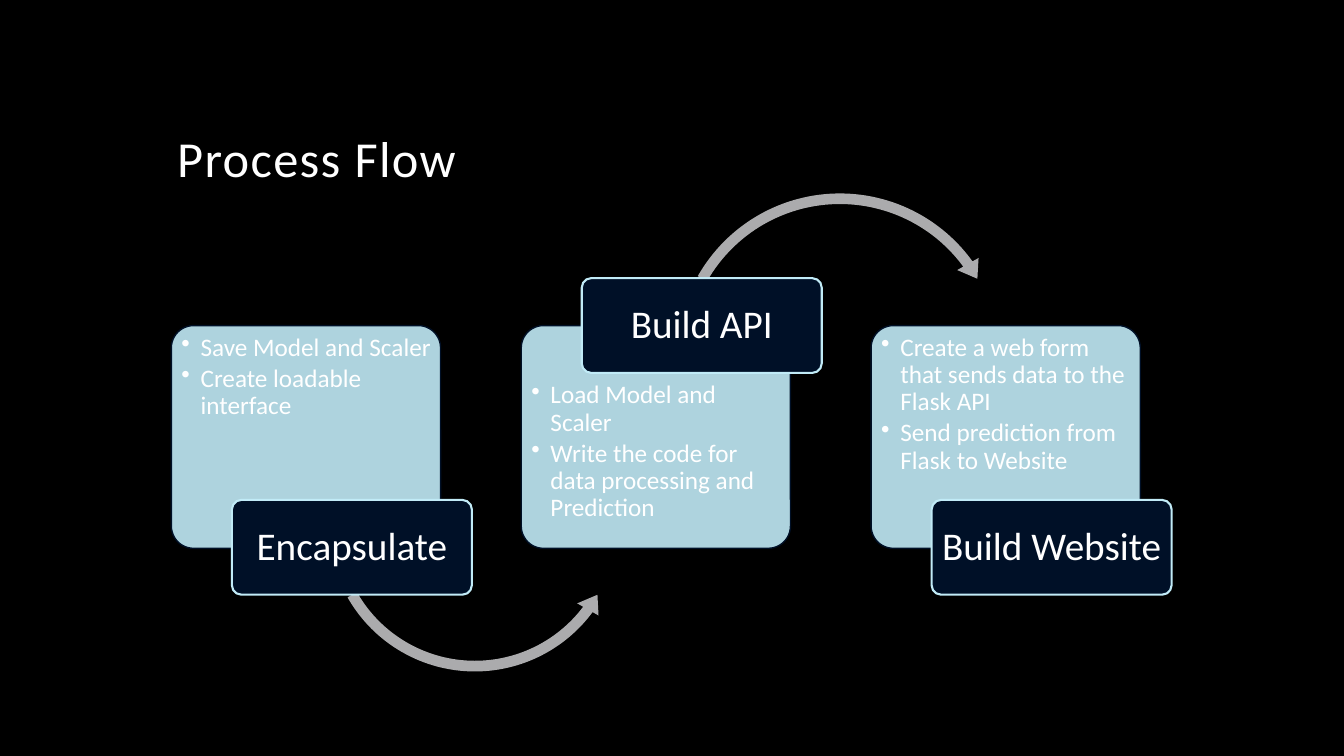
from dataclasses import dataclass
from typing import Optional

from lxml import etree
from pptx import Presentation
from pptx.dml.color import RGBColor
from pptx.enum.shapes import MSO_SHAPE
from pptx.enum.text import MSO_ANCHOR, PP_ALIGN
from pptx.oxml.ns import qn
from pptx.shapes.autoshape import Shape
from pptx.slide import Slide
from pptx.util import Inches, Pt

ROUNDED = MSO_SHAPE.ROUNDED_RECTANGLE
ARC_OVER = MSO_SHAPE.CIRCULAR_ARROW
ARC_UNDER = MSO_SHAPE.LEFT_CIRCULAR_ARROW
TOP, MIDDLE, BOTTOM = MSO_ANCHOR.TOP, MSO_ANCHOR.MIDDLE, MSO_ANCHOR.BOTTOM
LEFT, CENTER = PP_ALIGN.LEFT, PP_ALIGN.CENTER


@dataclass(frozen=True)
class Theme:
    font: str = "Calibri"
    background: str = "000000"
    text: str = "FFFFFF"
    panel: str = "C1EBF7"
    label: str = "001027"
    arrow: str = "ABABAD"
    title_size: int = 36
    label_size: int = 28
    bullet_size: int = 18


@dataclass(frozen=True)
class Box:
    left: float
    top: float
    width: float
    height: float

    def inches(self) -> tuple:
        return tuple(map(Inches, (self.left, self.top, self.width, self.height)))


@dataclass(frozen=True)
class Arrow:
    preset: MSO_SHAPE
    offset: float
    top: float
    size: float
    adjustments: tuple[float, ...]


@dataclass(frozen=True)
class Step:
    name: str
    bullets: tuple[str, ...]
    label_on_top: bool = False
    arrow: Optional[Arrow] = None


THEME = Theme()
FIRST_LEFT = 1.7
STEP_PITCH = 3.47
PANEL_TOP = 3.23
STEPS = (
    Step("Encapsulate", ("Save Model and Scaler", "Create loadable interface"),
         arrow=Arrow(ARC_UNDER, 1.49, 3.69, 3.04, (0.035, 4.277, 22.032, 90.245, 0.04))),
    Step("Build API",
         ("Load Model and Scaler", "Write the code for data processing and Prediction"),
         label_on_top=True,
         arrow=Arrow(ARC_OVER, 1.47, 1.85, 3.38, (0.031, 3.813, 194.431, 125.755, 0.036))),
    Step("Build Website",
         ("Create a web form that sends data to the Flask API",
          "Send prediction from Flask to Website")),
)


def add_filled_shape(slide: Slide, preset: MSO_SHAPE, box: Box, fill: str,
                     adjustments: tuple[float, ...], line: Optional[str] = None,
                     line_width: float = 1, opacity: Optional[int] = None) -> Shape:
    shape = slide.shapes.add_shape(preset, *box.inches())
    shape.shadow.inherit = False
    for index, value in enumerate(adjustments):
        shape.adjustments[index] = value
    shape.fill.solid()
    shape.fill.fore_color.rgb = RGBColor.from_string(fill)
    if opacity is not None:
        color = shape.fill._xPr.find(qn("a:solidFill"))[0]
        etree.SubElement(color, qn("a:alpha")).set("val", str(opacity * 1000))
    if line is None:
        shape.line.fill.background()
    else:
        shape.line.color.rgb = RGBColor.from_string(line)
        shape.line.width = Pt(line_width)
    return shape


def add_text(slide: Slide, box: Box, paragraphs: tuple[str, ...], *, size: int,
             anchor: MSO_ANCHOR = TOP, align: PP_ALIGN = LEFT,
             insets: tuple[float, float] = (0.1, 0.05), bullet: bool = False,
             space_after: float = 0, letter_spacing: float = 0) -> Shape:
    shape = slide.shapes.add_textbox(*box.inches())
    frame = shape.text_frame
    frame.word_wrap = True
    frame.vertical_anchor = anchor
    frame.margin_left = frame.margin_right = Inches(insets[0])
    frame.margin_top = frame.margin_bottom = Inches(insets[1])
    for index, text in enumerate(paragraphs):
        paragraph = frame.add_paragraph() if index else frame.paragraphs[0]
        paragraph.alignment = align
        paragraph.line_spacing = 0.9
        paragraph.space_after = Pt(space_after)
        run = paragraph.add_run()
        run.text = text
        run.font.name = THEME.font
        run.font.size = Pt(size)
        run.font.color.rgb = RGBColor.from_string(THEME.text)
        if letter_spacing:
            run.font._element.set("spc", str(int(letter_spacing * 100)))
        if bullet:
            properties = paragraph._p.get_or_add_pPr()
            properties.set("marL", str(Inches(0.19)))
            properties.set("indent", str(-Inches(0.19)))
            etree.SubElement(properties, qn("a:buChar")).set("char", "•")
    return shape


def add_step(slide: Slide, step: Step, left: float) -> None:
    add_filled_shape(slide, ROUNDED, Box(left, PANEL_TOP, 2.67, 2.21), THEME.panel,
                     (0.1,), line=THEME.label, opacity=90)
    bullets_top = 3.75 if step.label_on_top else 3.28
    add_text(slide, Box(left + 0.06, bullets_top, 2.57, 1.63), step.bullets,
             size=THEME.bullet_size, insets=(0.04, 0.04), bullet=True, space_after=2.7)
    if step.arrow:
        arrow = step.arrow
        add_filled_shape(slide, arrow.preset,
                         Box(left + arrow.offset, arrow.top, arrow.size, arrow.size),
                         THEME.arrow, arrow.adjustments)
    label_top = 2.76 if step.label_on_top else 4.96
    add_filled_shape(slide, ROUNDED, Box(left + 0.6, label_top, 2.38, 0.94), THEME.label,
                     (0.1,), line=THEME.panel, line_width=1.5)
    add_text(slide, Box(left + 0.63, label_top + 0.03, 2.32, 0.89), (step.name,),
             size=THEME.label_size, anchor=MIDDLE, align=CENTER, insets=(0.06, 0.04))


def main() -> None:
    presentation = Presentation()
    presentation.slide_width = Inches(13.33)
    presentation.slide_height = Inches(7.5)
    slide = presentation.slides.add_slide(presentation.slide_layouts[6])
    slide.background.fill.solid()
    slide.background.fill.fore_color.rgb = RGBColor.from_string(THEME.background)
    add_text(slide, Box(1.66, 0.42, 10, 1.5), ("Process Flow",), size=THEME.title_size,
             anchor=BOTTOM, letter_spacing=1)
    for index, step in enumerate(STEPS):
        add_step(slide, step, FIRST_LEFT + index * STEP_PITCH)
    presentation.save("out.pptx")


if __name__ == "__main__":
    main()
